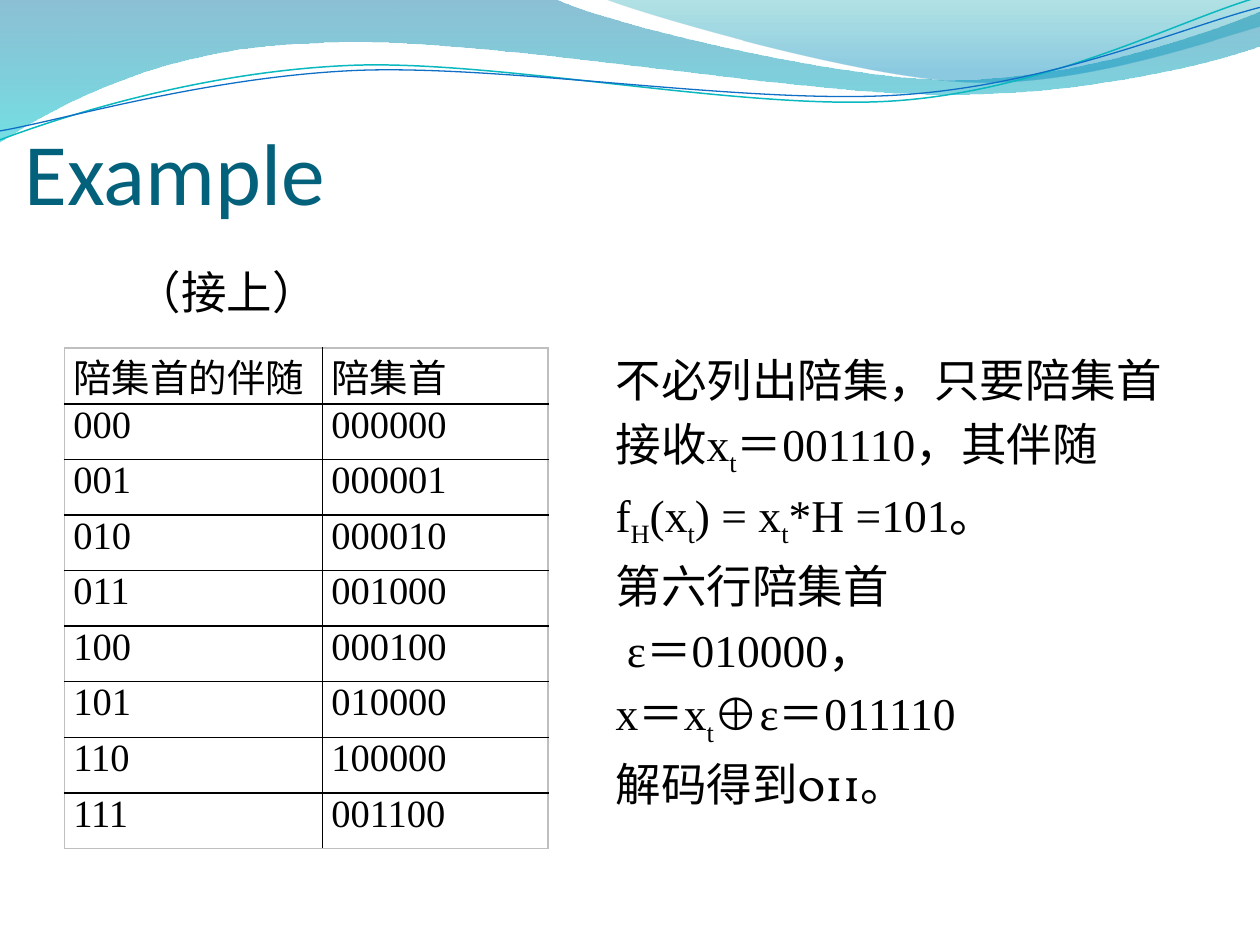
from dataclasses import dataclass

from lxml import etree
from pptx import Presentation, util as u
from pptx.dml.color import RGBColor
from pptx.enum import text
from pptx.oxml.ns import qn


@dataclass(frozen=True)
class Theme:
    title: str = "04617B"
    ink: str = "000000"
    frame: str = "BFBFBF"
    teal: str = "0AB8BF"
    blue: str = "0F6FC6"
    band: tuple = ((0, "0074A1", 45), (1, "00C6CF", 55))
    crest: tuple = ((0, "00A1A9", 30), (0.8, "008BBF", 45))
    title_size: int = 50
    body_size: int = 26
    table_size: int = 22
    head_font: str = "Calibri"
    body_font: str = "Vollkorn"
    side_font: str = "Arial"
    math_font: str = "Times New Roman"


theme = Theme()


def add_run(p, content, size, font, color=theme.ink, baseline=0):
    r = p.add_run()
    r.text = content
    r.font.size = u.Pt(size)
    r.font.name = font
    r.font.color.rgb = RGBColor.from_string(color)
    if baseline:
        r.font._element.set("baseline", str(baseline * 1000))


def add_wave(shapes, start, segments, close):
    builder = shapes.build_freeform(*map(u.Cm, start))
    points = [(u.Cm(x), u.Cm(y)) for segment in segments for x, y in segment]
    builder.add_line_segments(points, close=close)
    sp = builder.convert_to_shape()
    sp.shadow.inherit = False
    steps = iter(list(sp._element.iter(qn("a:lnTo"))))
    for segment in segments:
        step = next(steps)
        if len(segment) == 3:
            curve = etree.Element(qn("a:cubicBezTo"))
            step.addprevious(curve)
            for part in (step, next(steps), next(steps)):
                curve.append(part[0])
                part.getparent().remove(part)
    return sp


prs = Presentation()
prs.slide_width, prs.slide_height = u.Cm(25.4), u.Cm(19.05)
s = prs.slides.add_slide(prs.slide_layouts[1])
title, body = s.shapes.title, s.placeholders[1]

filled_waves = [
    (theme.band, (0, 0), [
        [(11.18, -0.03)],
        [(12.09, 0.43), (16.87, 1.6), (19.25, 1.6)],
        [(21.67, 1.6), (24.33, 0.66), (25.4, 0.23)],
        [(25.43, 0.91)],
        [(24.97, 1.12), (22.1, 1.93), (18.95, 1.9)],
        [(15.8, 1.9), (9.7, 0.71), (6.53, 0.86)],
        [(3.28, 0.91), (1.17, 2.11), (-0.03, 2.87)],
    ]),
    (theme.crest, (12.17, -0.03), [
        [(12.93, 0.28), (17.32, 1.57), (19.53, 1.65)],
        [(21.74, 1.75), (24.41, 0.81), (25.4, 0.53)],
        [(25.4, 0)],
    ]),
]
line_waves = [
    (theme.teal, 0.85, (0, 2.82), [
        [(1.22, 2.36), (4.01, 1.45), (7.04, 1.32)],
        [(10.03, 1.19), (15.06, 2.26), (18.11, 2.03)],
        [(21.16, 1.8), (23.83, 0.38), (25.35, -0.05)],
    ]),
    (theme.blue, 0.75, (0, 2.64), [
        [(1.19, 2.44), (4.17, 1.55), (7.19, 1.42)],
        [(10.24, 1.3), (15.16, 2.13), (18.21, 1.91)],
        [(21.23, 1.7), (23.9, 0.53), (25.4, 0.15)],
    ]),
]
waves = []
for stops, start, segments in filled_waves:
    sp = add_wave(s.shapes, start, segments, True)
    sp.line.fill.background()
    sp.fill.gradient()
    sp.fill.gradient_angle = 270
    for stop, (position, color, alpha) in zip(sp.fill.gradient_stops, stops):
        stop.position = position
        stop.color.rgb = RGBColor.from_string(color)
    for clr, (position, color, alpha) in zip(sp._element.spPr.iter(qn("a:srgbClr")), stops):
        etree.SubElement(clr, qn("a:alpha")).set("val", str(alpha * 1000))
    waves.append(sp)
for color, width, start, segments in line_waves:
    sp = add_wave(s.shapes, start, segments, False)
    sp.fill.background()
    sp.line.color.rgb = RGBColor.from_string(color)
    sp.line.width = u.Pt(width)
    waves.append(sp)
for i, sp in enumerate(waves):
    s.shapes._spTree.insert(2 + i, sp._element)

title.left, title.top, title.width, title.height = u.Cm(0.5), u.Cm(1.32), u.Cm(24.13), u.Cm(3.18)
tf = title.text_frame
tf.auto_size = text.MSO_AUTO_SIZE.NONE
tf.vertical_anchor = text.MSO_ANCHOR.BOTTOM
tf.margin_left = tf.margin_right = tf.margin_bottom = 0
p = tf.paragraphs[0]
p.alignment = text.PP_ALIGN.LEFT
add_run(p, "Example", theme.title_size, theme.head_font, theme.title)

body.left, body.top, body.width, body.height = u.Cm(2.48), u.Cm(5.2), u.Cm(22.86), u.Cm(13.94)
tf = body.text_frame
tf.auto_size = text.MSO_AUTO_SIZE.NONE
p = tf.paragraphs[0]
p.space_before = u.Pt(5.2)
pPr = p._p.get_or_add_pPr()
pPr.set("marL", "0")
pPr.set("indent", "0")
etree.SubElement(pPr, qn("a:buNone"))
add_run(p, "（接上）", theme.body_size, theme.body_font)

rows = [
    ("陪集首的伴随", "陪集首"),
    ("000", "000000"),
    ("001", "000001"),
    ("010", "000010"),
    ("011", "001000"),
    ("100", "000100"),
    ("101", "010000"),
    ("110", "100000"),
    ("111", "001100"),
]
frame = s.shapes.add_table(len(rows), 2, u.Cm(1.3), u.Cm(7.02), u.Cm(9.75), u.Cm(10.08))
table = frame.table
table.first_row = table.horz_banding = False
for column, width in zip(table.columns, (5.2, 4.55)):
    column.width = u.Cm(width)
for i, values in enumerate(rows):
    table.rows[i].height = u.Cm(1.12)
    fonts = (theme.math_font,) * 2 if i else (theme.body_font, theme.side_font)
    for j, (value, font) in enumerate(zip(values, fonts)):
        cell = table.cell(i, j)
        cell.margin_left = cell.margin_right = u.Cm(0.18)
        cell.margin_top = cell.margin_bottom = 0
        p = cell.text_frame.paragraphs[0]
        p.alignment = text.PP_ALIGN.JUSTIFY
        add_run(p, value, theme.table_size, font)
        tcPr = cell._tc.get_or_add_tcPr()
        outer = {"L": j == 0, "R": j == 1, "T": i == 0, "B": i == len(rows) - 1}
        for side, is_outer in outer.items():
            ln = etree.SubElement(tcPr, qn(f"a:ln{side}"), w=str(u.Pt(1)))
            fill = etree.SubElement(ln, qn("a:solidFill"))
            etree.SubElement(fill, qn("a:srgbClr"), val=theme.frame if is_outer else theme.ink)
        cell.fill.background()

lines = [
    (theme.body_font, ["不必列出陪集，只要陪集首"]),
    (theme.math_font, ["接收x", "t", "＝001110，其伴随"]),
    (theme.math_font, ["f", "H", "(x", "t", ") = x", "t", "*H =101。"]),
    (theme.math_font, ["第六行陪集首"]),
    (theme.math_font, [" ε＝010000，"]),
    (theme.math_font, ["x＝x", "t", "⊕ε＝011110"]),
    (theme.body_font, ["解码得到011。"]),
]
tf = s.shapes.add_textbox(u.Cm(12.16), u.Cm(6.97), u.Cm(12.75), u.Cm(10.16)).text_frame
tf.word_wrap = True
for i, (font, parts) in enumerate(lines):
    p = tf.add_paragraph() if i else tf.paragraphs[0]
    p.space_before = u.Pt(5.2)
    for k, part in enumerate(parts):
        add_run(p, part, theme.body_size, font, baseline=-25 * (k % 2))

prs.save("out.pptx")
